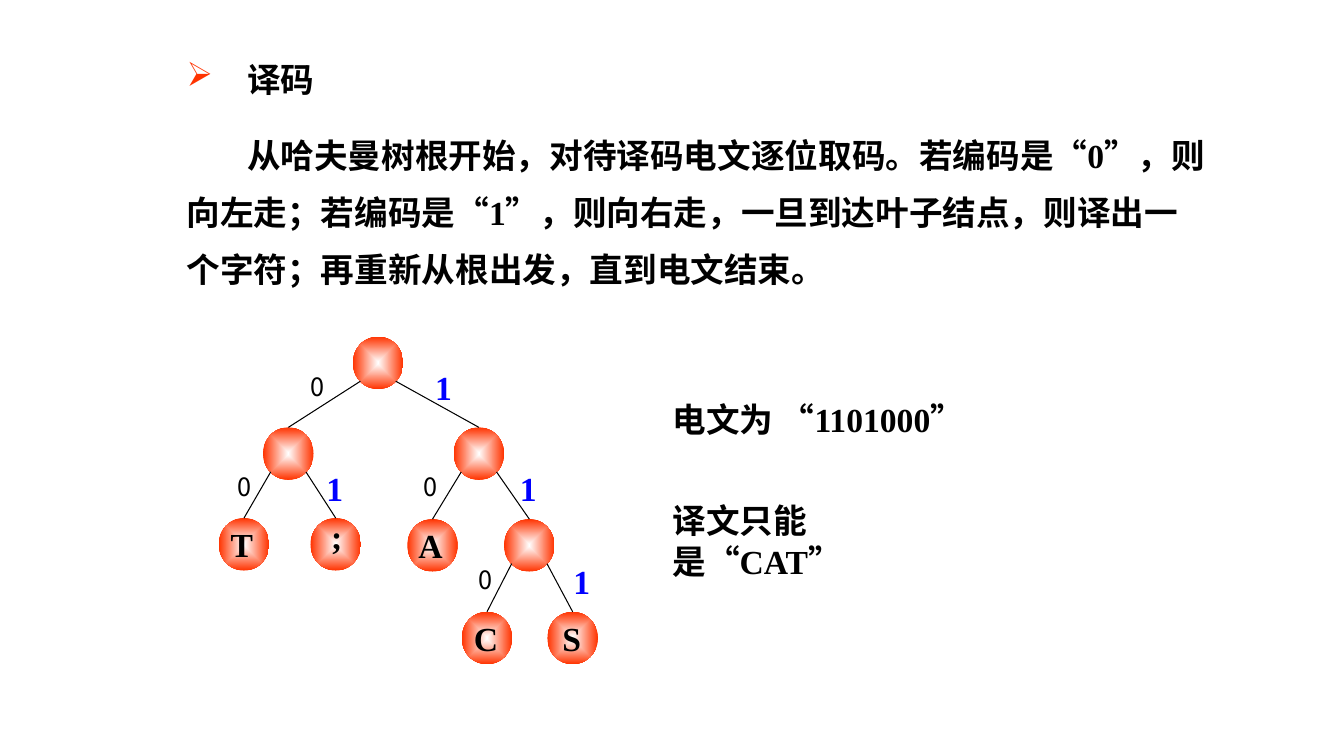
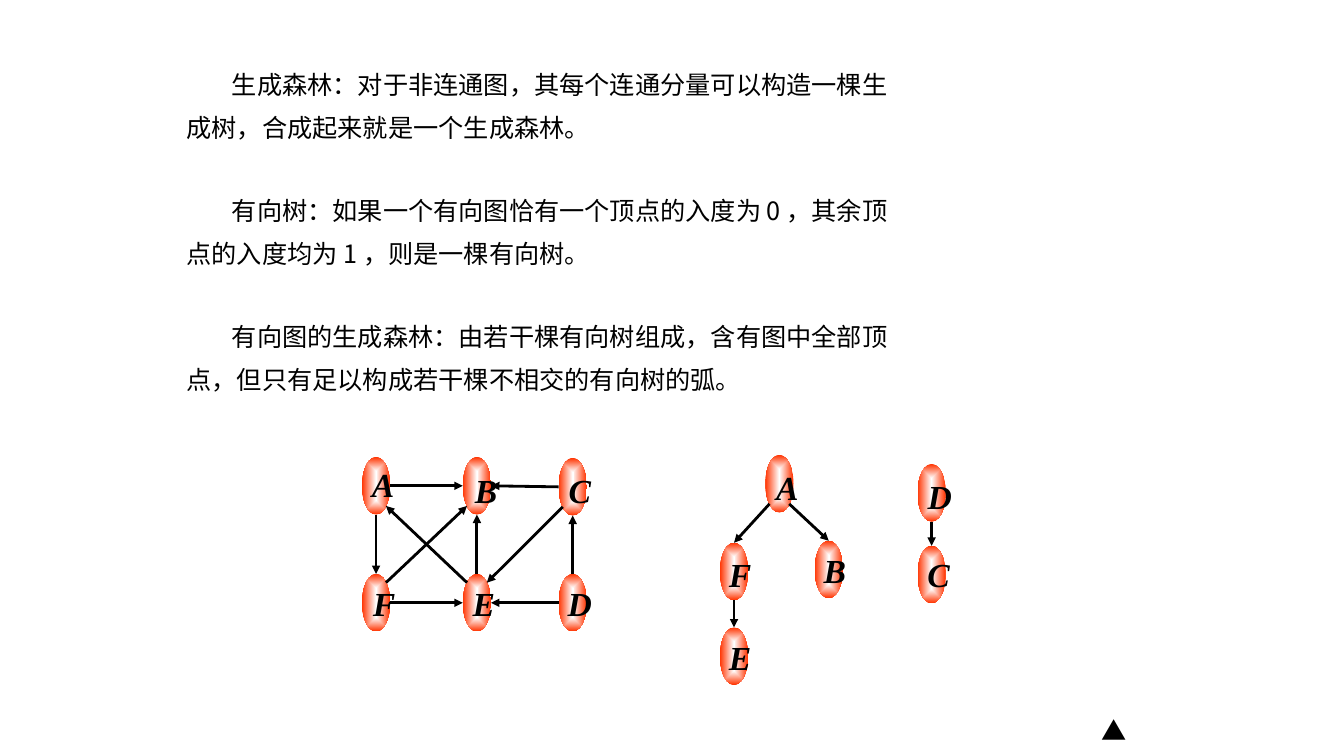
import dataclasses
import typing

import pptx
import pptx.dml.color
import pptx.enum.shapes
import pptx.enum.text
import pptx.oxml
import pptx.oxml.ns
import pptx.util

Inches = pptx.util.Inches
Pt = pptx.util.Pt
RGBColor = pptx.dml.color.RGBColor
Align = pptx.enum.text.PP_ALIGN
Anchor = pptx.enum.text.MSO_ANCHOR
qn = pptx.oxml.ns.qn

BLACK = RGBColor(0x00, 0x00, 0x00)
WHITE = RGBColor(0xFF, 0xFF, 0xFF)
RED = RGBColor(0xFF, 0x33, 0x00)
BLUE = RGBColor(0x00, 0x00, 0xFF)
SANS = "Noto Sans CJK SC"
SERIF = "Times New Roman"
SPACE = pptx.oxml.ns.nsdecls("a")

Format = dict[str, typing.Any]
PLAIN: Format = {"name": SANS, "size": Pt(18), "bold": False}
STRONG: Format = {"name": SERIF, "size": Pt(24), "bold": True}
SLANT: Format = {**STRONG, "italic": True}

DIAG = 0.35
SITES = {
    "N": (0, -0.5), "S": (0, 0.5), "W": (-0.5, 0), "E": (0.5, 0),
    "NW": (-DIAG, -DIAG), "NE": (DIAG, -DIAG),
    "SW": (-DIAG, DIAG), "SE": (DIAG, DIAG),
}


@dataclasses.dataclass
class Node:
    x: float
    y: float
    mark: str = ""
    dx: float = 0
    dy: float = 0


@dataclasses.dataclass
class Edge:
    start: str
    out: str
    end: str
    into: str


@dataclasses.dataclass
class Style:
    wide: float
    high: float
    text: Format
    line: float
    arrow: bool


@dataclasses.dataclass
class Bit:
    x: float
    y: float
    one: bool


TREE = Style(0.5, 0.52, STRONG, 0.75, False)
GRAPH = Style(0.28, 0.57, SLANT, 2, True)

CODE_NODES = {
    "root": Node(3.75, 3.6),
    "left": Node(2.86, 4.5),
    "right": Node(4.75, 4.5),
    "T": Node(2.42, 5.4, "T", -0.02),
    ";": Node(3.33, 5.4, ";", 0.01, -0.08),
    "A": Node(4.29, 5.41, "A", -0.02),
    "inner": Node(5.25, 5.41),
    "C": Node(4.83, 6.33, "C", -0.01),
    "S": Node(5.68, 6.33, "S", -0.01),
}
CODE_PAIRS = [
    ("root", "left", "right"), ("left", "T", ";"),
    ("right", "A", "inner"), ("inner", "C", "S"),
]
CODE_EDGES = [
    Edge(top, site, kid, "N")
    for top, *kids in CODE_PAIRS
    for site, kid in zip(("SW", "SE"), kids)
]
BITS = [
    Bit(3.15, 3.83, False), Bit(4.4, 3.84, True),
    Bit(2.43, 4.83, False), Bit(3.32, 4.84, True),
    Bit(4.27, 4.83, False), Bit(5.24, 4.84, True),
    Bit(4.82, 5.75, False), Bit(5.77, 5.76, True),
]

NET_NODES = {
    "A": Node(3.73, 4.82, "A", 0.07, -0.02),
    "B": Node(4.73, 4.82, "B", 0.09, 0.04),
    "C": Node(5.68, 4.83, "C", 0.07, 0.03),
    "F": Node(3.73, 5.98, "F", 0.08),
    "E": Node(4.73, 5.98, "E", 0.07),
    "D": Node(5.68, 5.98, "D", 0.07),
}
NET_EDGES = [
    Edge("A", "E", "B", "W"), Edge("C", "W", "B", "E"),
    Edge("C", "SW", "E", "NE"), Edge("D", "N", "C", "S"),
    Edge("D", "W", "E", "E"), Edge("E", "N", "B", "S"),
    Edge("E", "NW", "A", "SE"), Edge("F", "NE", "B", "SW"),
    Edge("F", "E", "E", "W"), Edge("A", "S", "F", "N"),
]
WOOD_NODES = {
    "A": Node(7.73, 4.8, "A", 0.08, 0.03),
    "B": Node(8.22, 5.65, "B", 0.06, 0.01),
    "F": Node(7.28, 5.67, "F", 0.06, 0.03),
    "E": Node(7.28, 6.51, "E", 0.06, 0.01),
    "D": Node(9.24, 4.89, "D", 0.08, 0.03),
    "C": Node(9.24, 5.7, "C", 0.07),
}
WOOD_EDGES = [
    Edge("A", "SE", "B", "N"), Edge("A", "SW", "F", "N"),
    Edge("F", "S", "E", "N"), Edge("D", "S", "C", "N"),
]

DECODE = (
    "从哈夫曼树根开始，对待译码电文逐位取码。若编码是“0”，"
    "则向左走；若编码是“1”，则向右走，一旦到达叶子结点，则译出"
    "一个字符；再重新从根出发，直到电文结束。"
)
TERMS = [
    "生成森林：对于非连通图，其每个连通分量可以构造一棵生"
    "成树，合成起来就是一个生成森林。",
    "有向树：如果一个有向图恰有一个顶点的入度为 0 ，其余顶"
    "点的入度均为 1 ，则是一棵有向树。",
    "有向图的生成森林：由若干棵有向树组成，含有图中全部顶"
    "点，但只有足以构成若干棵不相交的有向树的弧。",
]


def add_xml(parent: typing.Any, *parts: str) -> None:
    for part in parts:
        parent.append(pptx.oxml.parse_xml(part))


def ink(para: typing.Any, text: str, form: Format, color: RGBColor) -> None:
    para.text = text
    for run in para.runs:
        for key, value in form.items():
            setattr(run.font, key, value)
        run.font.color.rgb = color
        add_xml(run._r.get_or_add_rPr(), f'<a:ea {SPACE} typeface="{SANS}"/>')


def set_frame(frame: typing.Any, wrap: bool, anchor: typing.Any, pad: float) -> None:
    values = {
        "word_wrap": wrap,
        "auto_size": pptx.enum.text.MSO_AUTO_SIZE.NONE,
        "vertical_anchor": anchor,
        "margin_left": Inches(pad), "margin_right": Inches(pad),
        "margin_top": Inches(pad / 2), "margin_bottom": Inches(pad / 2),
    }
    for key, value in values.items():
        setattr(frame, key, value)


def place(shape: typing.Any, *box: float) -> None:
    for key, value in zip(("left", "top", "width", "height"), box):
        setattr(shape, key, Inches(value))


def add_tag(slide: typing.Any, x: float, y: float, text: str,
            form: Format, color: RGBColor = BLACK) -> None:
    side = 0.5
    box = slide.shapes.add_textbox(
        Inches(x - side / 2), Inches(y - side / 2), Inches(side), Inches(side))
    set_frame(box.text_frame, False, Anchor.MIDDLE, 0)
    para = box.text_frame.paragraphs[0]
    para.alignment = Align.CENTER
    ink(para, text, form, color)


def add_note(slide: typing.Any, y: float, text: str) -> None:
    box = slide.shapes.add_textbox(Inches(6.67), Inches(y), Inches(3.3), Inches(0.85))
    set_frame(box.text_frame, False, Anchor.TOP, 0)
    para = box.text_frame.paragraphs[0]
    para.line_spacing = Pt(29.3)
    ink(para, text, STRONG, BLACK)


def add_node(slide: typing.Any, node: Node, style: Style) -> None:
    ball = slide.shapes.add_shape(
        pptx.enum.shapes.MSO_SHAPE.OVAL,
        Inches(node.x - style.wide / 2), Inches(node.y - style.high / 2),
        Inches(style.wide), Inches(style.high))
    ball.line.fill.background()
    ball.shadow.inherit = False
    ball._element.spPr.insert(2, pptx.oxml.parse_xml(
        f'<a:gradFill {SPACE} rotWithShape="1"><a:gsLst>'
        f'<a:gs pos="0"><a:srgbClr val="{WHITE}"/></a:gs>'
        f'<a:gs pos="100000"><a:srgbClr val="{RED}"/></a:gs></a:gsLst>'
        '<a:path path="shape"><a:fillToRect l="50000" t="50000" '
        'r="50000" b="50000"/></a:path></a:gradFill>'))
    if node.mark:
        add_tag(slide, node.x + node.dx, node.y + node.dy, node.mark, style.text)


def find_spot(node: Node, site: str, style: Style) -> tuple[int, int]:
    fx, fy = SITES[site]
    return Inches(node.x + fx * style.wide), Inches(node.y + fy * style.high)


def add_graph(slide: typing.Any, nodes: dict[str, Node],
              edges: list[Edge], style: Style) -> None:
    for node in nodes.values():
        add_node(slide, node, style)
    for edge in edges:
        line = slide.shapes.add_connector(
            pptx.enum.shapes.MSO_CONNECTOR.STRAIGHT,
            *find_spot(nodes[edge.start], edge.out, style),
            *find_spot(nodes[edge.end], edge.into, style))
        line.line.color.rgb = BLACK
        line.line.width = Pt(style.line)
        if style.arrow:
            add_xml(line.line._get_or_add_ln(), f'<a:tailEnd {SPACE} type="triangle"/>')
        add_xml(line._element.spPr, f"<a:effectLst {SPACE}/>")


def fill_title(shape: typing.Any, text: str) -> None:
    place(shape, 1.75, 0.53, 1.6, 0.6)
    set_frame(shape.text_frame, True, Anchor.TOP, 0.1)
    para = shape.text_frame.paragraphs[0]
    para.alignment = Align.LEFT
    props = para._p.get_or_add_pPr()
    props.set("marL", str(Inches(0.6)))
    props.set("indent", str(-Inches(0.6)))
    add_xml(props,
            f'<a:buClr {SPACE}><a:srgbClr val="{RED}"/></a:buClr>',
            f'<a:buChar {SPACE} char="➢"/>')
    ink(para, text, STRONG, BLACK)


def fill_body(shape: typing.Any, box: tuple[float, ...], texts: list[str],
              form: Format, pitch: float, indent: float) -> None:
    place(shape, *box)
    frame = shape.text_frame
    set_frame(frame, True, Anchor.TOP, 0.1)
    for index, text in enumerate(texts):
        para = frame.add_paragraph() if index else frame.paragraphs[0]
        values = {
            "alignment": Align.LEFT,
            "line_spacing": Pt(pitch),
            "space_before": Pt(28.5 if index else 0),
        }
        for key, value in values.items():
            setattr(para, key, value)
        props = para._p.get_or_add_pPr()
        props.set("marL", "0")
        props.set("indent", str(Inches(indent)))
        add_xml(props, f"<a:buNone {SPACE}/>")
        ink(para, text, form, BLACK)


def draw_code(slide: typing.Any) -> None:
    fill_title(slide.shapes.title, "译码")
    fill_body(slide.placeholders[1], (1.75, 1.12, 10.32, 1.85),
              [DECODE], STRONG, 40.7, 0.6)
    add_graph(slide, CODE_NODES, CODE_EDGES, TREE)
    for bit in BITS:
        text, form, color = ("1", STRONG, BLUE) if bit.one else ("0", PLAIN, BLACK)
        add_tag(slide, bit.x, bit.y, text, form, color)
    add_note(slide, 3.95, "电文为 “1101000”")
    add_note(slide, 4.95, "译文只能\v是“CAT”")


def draw_wood(slide: typing.Any) -> None:
    title = slide.shapes.title._element
    title.getparent().remove(title)
    fill_body(slide.placeholders[1], (1.75, 0.51, 7.32, 3.5),
              TERMS, PLAIN, 30.7, 0.45)
    add_graph(slide, NET_NODES, NET_EDGES, GRAPH)
    add_graph(slide, WOOD_NODES, WOOD_EDGES, GRAPH)
    add_tag(slide, 11.05, 7.25, "▲", PLAIN)


def main() -> None:
    deck = pptx.Presentation()
    deck.slide_width = Inches(13.33)
    deck.slide_height = Inches(7.5)
    for draw in (draw_code, draw_wood):
        draw(deck.slides.add_slide(deck.slide_layouts[1]))
    deck.save("out.pptx")


if __name__ == "__main__":
    main()
